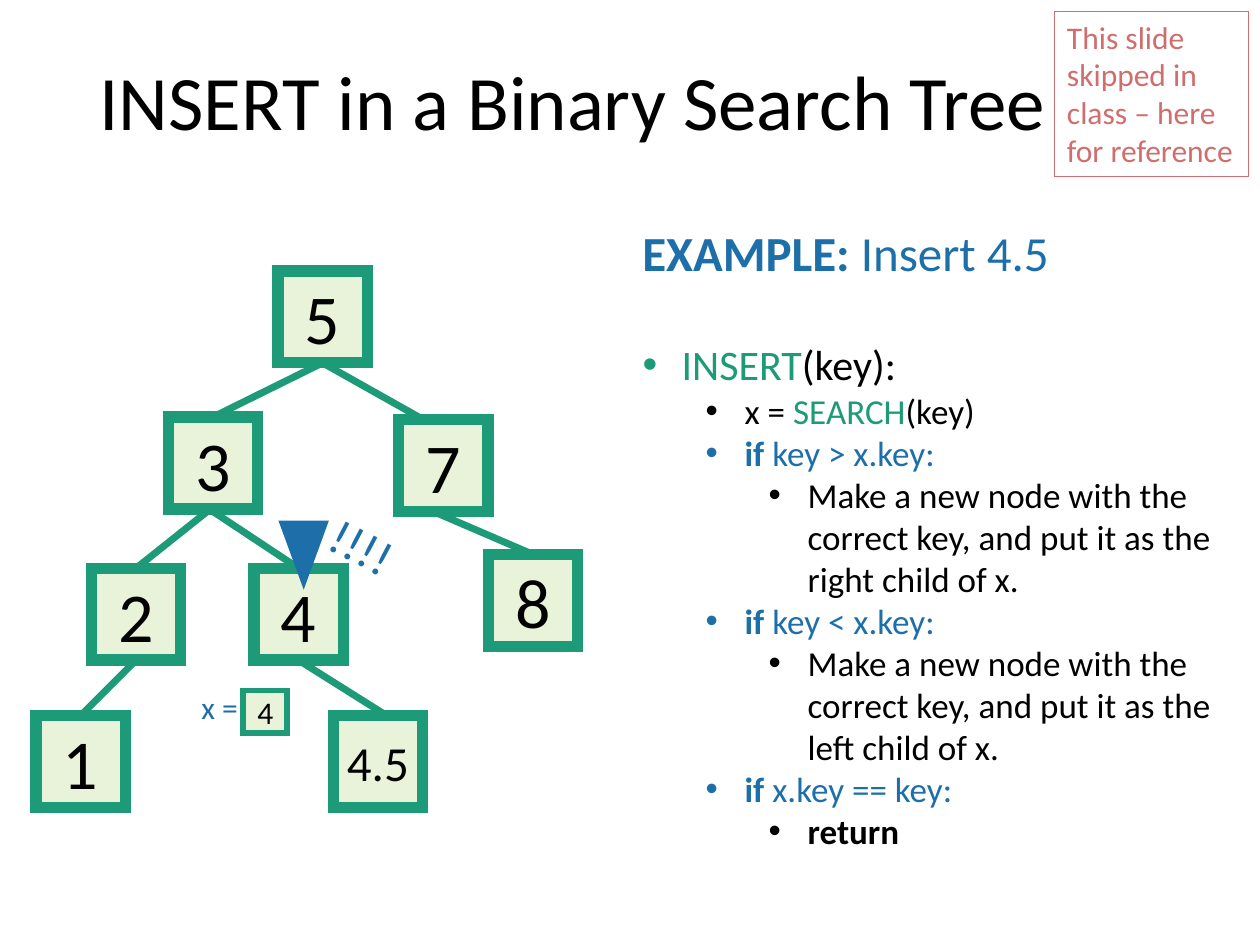
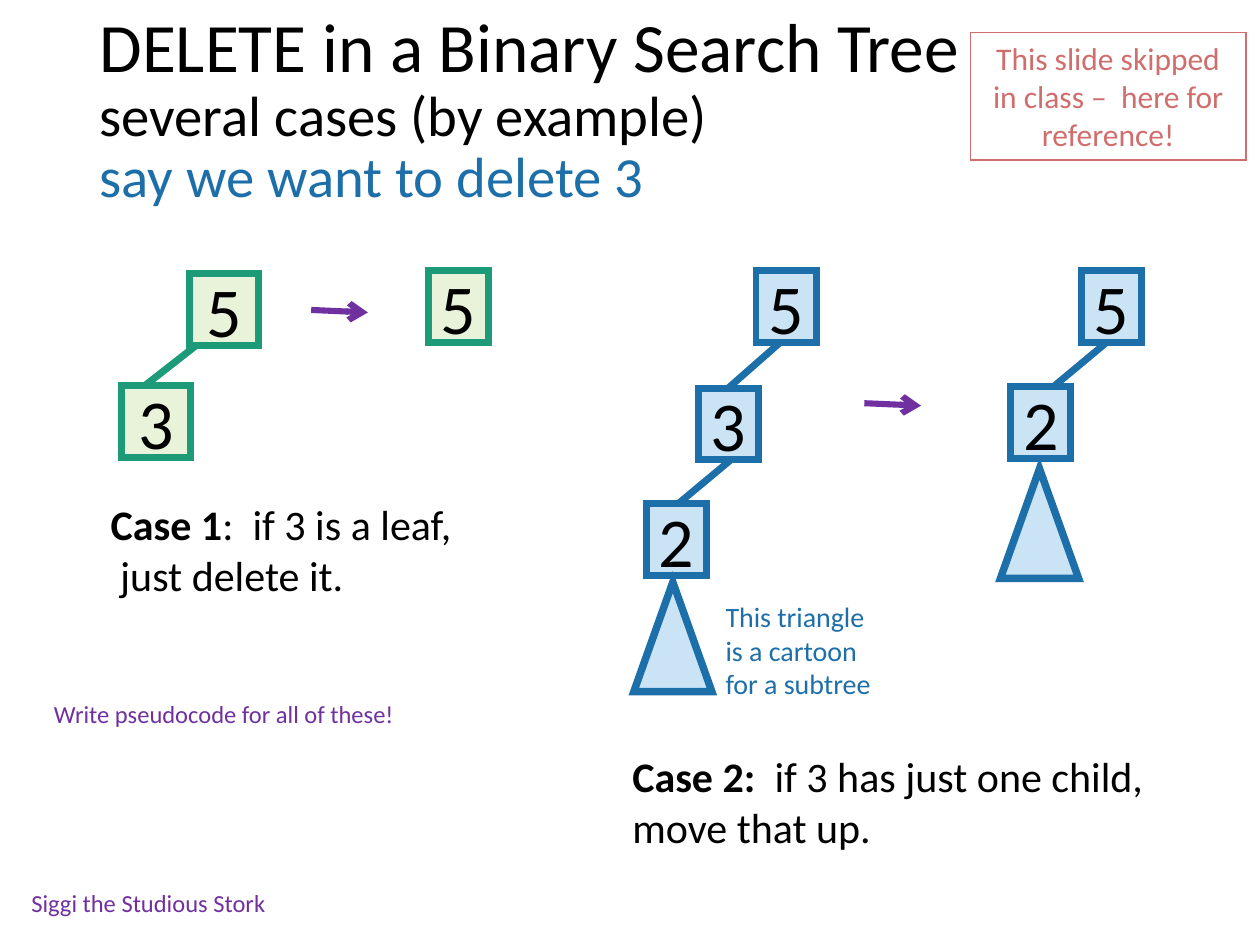
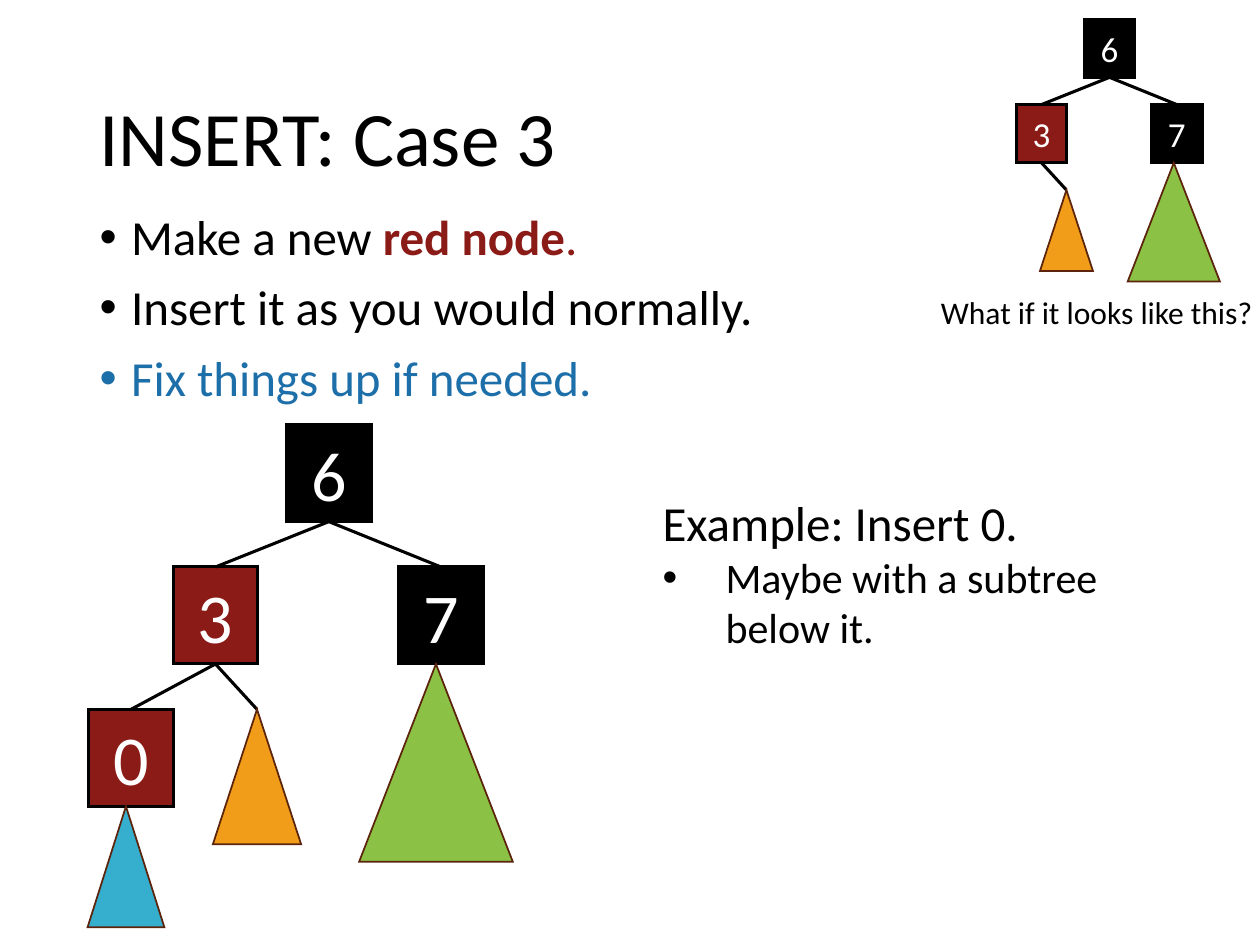
"""Build three slides on inserting into and deleting from search trees."""
import lxml.etree
import pptx
import pptx.dml.color
import pptx.enum.shapes
import pptx.enum.text
import pptx.oxml.ns
import pptx.util

FONT = "Calibri"
BLACK, WHITE, GREEN, BLUE = "000000", "FFFFFF", "1D9A78", "1D6FA9"
PURPLE, ROSE, RED, BROWN = "7030A0", "CF6E6C", "8B1B17", "5C240C"
PALE_GREEN, PALE_BLUE = "E8F3DA", "CAE4F6"
TITLE_LEFT, TITLE_WIDTH = 0.69, 8.62

# Each look is fill, outline, outline width, label colour.
LOOKS = {
    "search": (PALE_GREEN, GREEN, 6.5, BLACK),
    "found": (PALE_GREEN, GREEN, 3.25, BLACK),
    "leaf": (PALE_GREEN, GREEN, 4, BLACK),
    "chain": (PALE_BLUE, BLUE, 4, BLACK),
    "chain subtree": (PALE_BLUE, BLUE, 4.25, BLACK),
    "pointer": (BLUE, BLUE, 1, BLACK),
    "black": (BLACK, BLACK, 1.75, WHITE),
    "red": (RED, BLACK, 1.75, WHITE),
    "lime": ("8BC145", BROWN, 1, BLACK),
    "orange": ("F19D19", BROWN, 1, BLACK),
    "cyan": ("36AFCE", BROWN, 1, BLACK),
}

# Paragraphs are size, bullet level, runs; runs are text, colour, bold.
INSERT_TITLE = [(44, None, [("INSERT in a Binary Search Tree", BLACK)])]
NEW_NODE = "Make a new node with the correct key, and put it as the {} child of x."
INSERT_STEPS = [
    (24, 0, [("INSERT", GREEN), ("(key):", BLACK)]),
    (20, 1, [("x = ", BLACK), ("SEARCH", GREEN), ("(key)", BLACK)]),
    (20, 1, [("if ", BLUE, True), ("key > x.key:", BLUE)]),
    (20, 2, [(NEW_NODE.format("right"), BLACK)]),
    (20, 1, [("if ", BLUE, True), ("key < x.key:", BLUE)]),
    (20, 2, [(NEW_NODE.format("left"), BLACK)]),
    (20, 1, [("if ", BLUE, True), ("x.key == key:", BLUE)]),
    (20, 2, [("return", BLACK, True)]),
]
INSERT_EXAMPLE = [(28, None, [("EXAMPLE: ", BLUE, True), ("Insert 4.5", BLUE)])]
INSERT_SKIPPED = [(18, None, [("This slide skipped in class – here for reference", ROSE)])]

DELETE_TITLE = [
    (39.6, None, [("DELETE in a Binary Search Tree", BLACK)]),
    (32.4, None, [("several cases (by example)", BLACK)]),
    (32.4, None, [("say we want to delete 3", BLUE)]),
]
DELETE_SKIPPED = [(18, None, [("This slide skipped in class –  here for reference!", ROSE)])]
DELETE_TEXTS = [
    ((5.66, 4.71, 1.42, 0.91),
     [(16, None, [("This triangle is a cartoon for a subtree", BLUE)])]),
    ((0.78, 3.91, 3.28, 0.91),
     [(24, None, [("Case 1", BLACK, True), (":  if 3 is a leaf,", BLACK)]),
      (24, None, [(" just delete it.", BLACK)])]),
    ((4.92, 5.91, 4.39, 0.91),
     [(24, None, [("Case 2:  ", BLACK, True), ("if 3 has just one child,", BLACK)]),
      (24, None, [("move that up.", BLACK)])]),
    ((0.15, 7, 2.91, 0.34), [(14, None, [("Siggi the Studious Stork", PURPLE)])]),
    ((0.33, 5.5, 3.06, 0.34), [(14, None, [("Write pseudocode for all of these!", PURPLE)])]),
]
DELETE_ARROWS = [(2.47, 2.46), (6.86, 3.2)]

CASE_TITLE = [(44, None, [("INSERT: Case 3", BLACK)])]
CASE_STEPS = [
    (28, 0, [("Make a new ", BLACK), ("red node", RED, True), (".", RED)]),
    (28, 0, [("Insert it as you would normally.", BLACK)]),
    (28, 0, [("Fix things up if needed.", BLUE)]),
]
CASE_EXAMPLE = [
    (28, None, [("Example: Insert 0.", BLACK)]),
    (24, 0, [("Maybe with a subtree below it.", BLACK)]),
]
CASE_QUESTION = [(18, None, [("What if it looks like this?", BLACK)])]

# Nodes are centre, top, look; subtrees add width and height before the look;
# edges are parent, child and sideways shifts of the two ends.
INSERT_TREE = {
    "size": (0.71, 0.73), "pt": 40, "edge": (GREEN, 4),
    "nodes": {
        "4": (2.37, 4.51, "search"), "2": (1.08, 4.51, "search"),
        "8": (4.23, 4.4, "search"), "7": (3.52, 3.33, "search"),
        "1": (0.64, 5.68, "search"), "3": (1.69, 3.31, "search"),
        "5": (2.56, 2.15, "search"), "4.5": (3.0, 5.68, "search"),
    },
    "edges": [("5", "7", 0, -0.16), ("7", "8", -0.08, 0), ("3", "4", -0.03, 0),
              ("5", "3", 0, 0), ("3", "2", -0.02, 0), ("2", "1", 0, 0),
              ("4", "4.5", 0, 0.07)],
}
CHAIN = {"size": (0.48, 0.57), "pt": 40, "edge": (BLUE, 4)}
DELETE_TREES = [
    {"size": (0.55, 0.57), "pt": 40, "edge": (GREEN, 4),
     "nodes": {"5": (1.78, 2.17, "leaf"), "3": (1.24, 3.06, "leaf")},
     "edges": [("5", "3", -0.22, -0.09)]},
    {**CHAIN, "nodes": {"5": (3.64, 2.15, "leaf")}},
    {**CHAIN,
     "nodes": {"5": (6.24, 2.15, "chain"), "3": (5.78, 3.08, "chain"),
               "2": (5.37, 4, "chain")},
     "subtrees": {"below 2": (5.34, 4.62, 0.62, 0.87, "chain subtree")},
     "edges": [("5", "3", -0.05, 0), ("3", "2", 0.02, 0.01)]},
    {**CHAIN,
     "nodes": {"5": (8.82, 2.15, "chain"), "2": (8.26, 3.07, "chain")},
     "subtrees": {"below 2": (8.25, 3.72, 0.62, 0.87, "chain subtree")},
     "edges": [("5", "2", -0.04, 0.1)]},
]
QUESTION_TREE = {
    "size": (0.67, 0.77), "pt": 40, "edge": (BLACK, 1.75),
    "nodes": {"7": (3.5, 4.5, "black"), "3": (1.71, 4.5, "red"),
              "6": (2.61, 3.37, "black")},
    "subtrees": {"below 7": (3.46, 5.27, 1.22, 1.57, "lime"),
                 "below 3": (2.04, 5.63, 0.7, 1.07, "orange")},
    "edges": [("6", "3", 0, 0), ("6", "7", 0, 0), ("3", "below 3", 0, 0)],
}
CASE_TREE = {
    **QUESTION_TREE,
    "nodes": {**QUESTION_TREE["nodes"], "0": (1.04, 5.63, "red")},
    "subtrees": {**QUESTION_TREE["subtrees"],
                 "below 0": (1.0, 6.4, 0.61, 0.96, "cyan")},
    "edges": QUESTION_TREE["edges"] + [("3", "0", 0, 0)],
}
QUESTION_SCALE, QUESTION_ORIGIN = 0.6, (7.24, -1.87)

SHAPES = pptx.enum.shapes.MSO_SHAPE
ANCHOR = pptx.enum.text.MSO_ANCHOR
ALIGN = pptx.enum.text.PP_ALIGN
qn = pptx.oxml.ns.qn


def rgb(value):
    return pptx.dml.color.RGBColor.from_string(value)


def inches(values):
    return [pptx.util.Inches(value) for value in values]


def apply(target, **values):
    for name, value in values.items():
        setattr(target, name, value)


def outline(item, colour, width, ending, **attributes):
    item.line.color.rgb = rgb(colour)
    item.line.width = pptx.util.Pt(width)
    stroke = item._element.spPr.find(qn("a:ln"))
    lxml.etree.SubElement(stroke, qn(ending), **attributes)


def write(frame, paragraphs, hang=0.31, gap=0, **layout):
    apply(frame, word_wrap=True, auto_size=pptx.enum.text.MSO_AUTO_SIZE.NONE)
    for index, (size, level, runs) in enumerate(paragraphs):
        paragraph = frame.add_paragraph() if index else frame.paragraphs[0]
        if level is not None:
            paragraph.level = level
            properties = paragraph._p.get_or_add_pPr()
            start, back = inches((hang + 0.5 * level, -hang))
            properties.set("marL", str(start))
            properties.set("indent", str(back))
            lxml.etree.SubElement(properties, qn("a:buFont"), typeface="Arial")
            lxml.etree.SubElement(properties, qn("a:buChar"), char="•")
        apply(paragraph, space_before=pptx.util.Pt(gap if index else 0),
              **{"alignment": ALIGN.LEFT, **layout})
        for text, colour, *bold in runs:
            run = paragraph.add_run()
            run.text = text
            apply(run.font, name=FONT, size=pptx.util.Pt(size), bold=bool(bold))
            run.font.color.rgb = rgb(colour)


def place(holder, box):
    apply(holder, **dict(zip(("left", "top", "width", "height"), inches(box))))


def start_slide(deck, layout, title, top, height):
    slide = deck.slides.add_slide(deck.slide_layouts[layout])
    heading = slide.shapes.title
    place(heading, (TITLE_LEFT, top, TITLE_WIDTH, height))
    write(heading.text_frame, title, line_spacing=0.9)
    heading.text_frame.vertical_anchor = ANCHOR.MIDDLE
    return slide


def add_list(slide, box, steps, **layout):
    body = slide.placeholders[1]
    place(body, box)
    write(body.text_frame, steps, **layout)


def add_text(slide, box, paragraphs, **layout):
    note = slide.shapes.add_textbox(*inches(box))
    write(note.text_frame, paragraphs, **layout)
    return note


def add_block(slide, preset, box, look, label="", size=40):
    fill, edge, width, ink = LOOKS[look]
    block = slide.shapes.add_shape(preset, *inches(box))
    block.shadow.inherit = False
    block.fill.solid()
    block.fill.fore_color.rgb = rgb(fill)
    outline(block, edge, width, "a:miter", lim="800000")
    if label:
        write(block.text_frame, [(size, None, [(label, ink)])], alignment=ALIGN.CENTER)
        apply(block.text_frame, word_wrap=False, vertical_anchor=ANCHOR.MIDDLE,
              margin_left=0, margin_right=0)
    return block


def add_line(slide, start, end, colour, width, head="none"):
    line = slide.shapes.add_connector(
        pptx.enum.shapes.MSO_CONNECTOR.STRAIGHT, *inches((*start, *end)))
    outline(line, colour, width, "a:tailEnd", type=head)
    lxml.etree.SubElement(line._element.spPr, qn("a:effectLst"))


def draw_tree(slide, tree, scale=1, origin=(0, 0), label_scale=1):
    def spot(x, y):
        return origin[0] + scale * x, origin[1] + scale * y

    def draw(preset, centre, top, width, height, look, **label):
        box = (*spot(centre - width / 2, top), scale * width, scale * height)
        add_block(slide, preset, box, look, **label)

    width, height = tree["size"]
    subtrees = tree.get("subtrees", {})
    parts = {**tree["nodes"], **subtrees}
    for key, (centre, top, look) in tree["nodes"].items():
        size = tree["pt"] * label_scale * (0.7 if len(key) > 1 else 1)
        draw(SHAPES.RECTANGLE, centre, top, width, height, look, label=key, size=size)
    for parent, child, parent_shift, child_shift in tree.get("edges", []):
        start = spot(parts[parent][0] + parent_shift, parts[parent][1] + height)
        end = spot(parts[child][0] + child_shift, parts[child][1])
        add_line(slide, start, end, *tree["edge"])
    for subtree in subtrees.values():
        draw(SHAPES.ISOSCELES_TRIANGLE, *subtree)


def build_insert(deck):
    slide = start_slide(deck, 1, INSERT_TITLE, 0.4, 0.87)
    draw_tree(slide, INSERT_TREE)
    add_text(slide, (5, 1.72, 4.36, 0.57), INSERT_EXAMPLE)
    pointer = add_block(slide, SHAPES.ISOSCELES_TRIANGLE, (2.22, 4.14, 0.38, 0.52), "pointer")
    pointer.rotation = 180
    add_list(slide, (5, 2.64, 4.73, 4.85), INSERT_STEPS)
    alarm = add_text(slide, (2.51, 4.11, 0.97, 0.57), [(28, None, [("!!!!", BLUE)])])
    alarm.rotation = 27.8
    add_text(slide, (1.5, 5.41, 0.7, 0.4), [(18, None, [("x =", BLUE)])])
    add_block(slide, SHAPES.RECTANGLE, (1.93, 5.48, 0.35, 0.34), "found", "4", 18)
    skipped = add_text(slide, (8.37, 0.09, 1.54, 1.31), INSERT_SKIPPED)
    outline(skipped, ROSE, 0.75, "a:miter", lim="800000")


def build_delete(deck):
    slide = start_slide(deck, 5, DELETE_TITLE, 0.03, 1.7)
    for tree in DELETE_TREES:
        draw_tree(slide, tree)
    for box, paragraphs in DELETE_TEXTS:
        add_text(slide, box, paragraphs)
    for x, y in DELETE_ARROWS:
        add_line(slide, (x, y), (x + 0.45, y + 0.02), PURPLE, 3.5, "arrow")
    skipped = add_text(slide, (7.7, 0.26, 2.19, 1.01), DELETE_SKIPPED, alignment=ALIGN.CENTER)
    outline(skipped, ROSE, 0.75, "a:miter", lim="800000")


def build_case(deck):
    slide = start_slide(deck, 1, CASE_TITLE, 0.4, 1.45)
    add_list(slide, (TITLE_LEFT, 1.64, TITLE_WIDTH, 1.73), CASE_STEPS,
             hang=0.25, gap=10, line_spacing=0.9)
    draw_tree(slide, CASE_TREE)
    draw_tree(slide, QUESTION_TREE, QUESTION_SCALE, QUESTION_ORIGIN, label_scale=0.5)
    add_text(slide, (5.16, 3.86, 3.65, 1.38), CASE_EXAMPLE, hang=0.5)
    add_text(slide, (7.37, 2.28, 2.7, 0.4), CASE_QUESTION)


def main():
    deck = pptx.Presentation()
    deck.slide_width, deck.slide_height = inches((10, 7.5))
    for build in (build_insert, build_delete, build_case):
        build(deck)
    deck.save("out.pptx")


if __name__ == "__main__":
    main()
